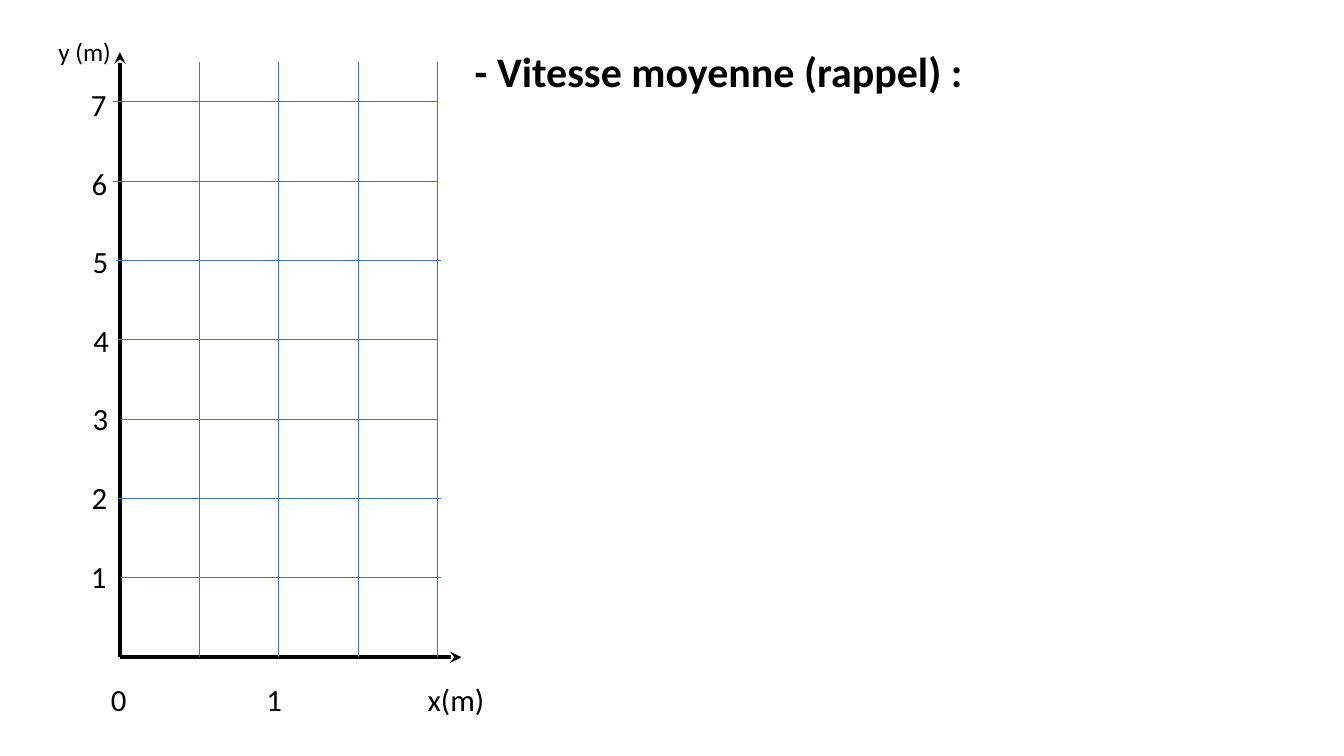
from dataclasses import dataclass
from lxml.etree import SubElement
from pptx import Presentation
from pptx.dml.color import RGBColor
from pptx.enum.shapes import MSO_CONNECTOR
from pptx.enum.text import MSO_ANCHOR, MSO_AUTO_SIZE, PP_ALIGN
from pptx.oxml.ns import qn
from pptx.util import Inches, Pt


@dataclass(frozen=True)
class Theme:
    font: str = "Calibri"
    ink: RGBColor = RGBColor(0, 0, 0)
    grid: RGBColor = RGBColor(0x44, 0x72, 0xC4)
    small: int = 18
    label: int = 22
    title: int = 30
    thin: float = 0.5
    thick: float = 2.75


class Graph:
    unit = Inches(6.3 / 8)
    left = Inches(1.19)
    base = Inches(6.52)

    def __init__(self, slide, theme):
        self.slide = slide
        self.theme = theme

    def span(self, size):
        return round(size * self.unit)

    def point(self, col, row):
        return self.left + self.span(col), self.base - self.span(row)

    def line(self, start, end, color, width, arrow=False):
        line = self.slide.shapes.add_connector(
            MSO_CONNECTOR.STRAIGHT, *self.point(*start), *self.point(*end))
        line.line.color.rgb = color
        line.line.width = Pt(width)
        if arrow:
            stroke = line._element.spPr.find(qn("a:ln"))
            SubElement(stroke, qn("a:tailEnd"), type="stealth")
        SubElement(line._element.spPr, qn("a:effectLst"))

    def axis(self, end):
        self.line((0, 0), end, self.theme.ink, self.theme.thick, True)

    def rule(self, start, end):
        self.line(start, end, self.theme.grid, self.theme.thin)

    def fill(self, shape, text, size, bold=False):
        frame = shape.text_frame
        frame.word_wrap = True
        frame.auto_size = MSO_AUTO_SIZE.SHAPE_TO_FIT_TEXT
        frame.vertical_anchor = MSO_ANCHOR.TOP
        para = frame.paragraphs[0]
        para.line_spacing = 1.0
        run = para.add_run()
        run.text = text
        run.font.name = self.theme.font
        run.font.size = Pt(size)
        run.font.bold = bold
        run.font.color.rgb = self.theme.ink
        return para

    def label(self, text, col, row, width, height, size, stops=()):
        box = self.slide.shapes.add_textbox(
            *self.point(col, row), self.span(width), self.span(height))
        para = self.fill(box, text, size)
        if stops:
            tabs = SubElement(para._p.get_or_add_pPr(), qn("a:tabLst"))
            for stop in stops:
                SubElement(tabs, qn("a:tab"), pos=str(self.span(stop)), algn="l")

    def title(self, text, col, row, width, height):
        shape = self.slide.shapes.title
        shape.left, shape.top = self.point(col, row)
        shape.width, shape.height = self.span(width), self.span(height)
        para = self.fill(shape, text, self.theme.title, True)
        para.alignment = PP_ALIGN.JUSTIFY


def main():
    deck = Presentation()
    deck.slide_width, deck.slide_height = Inches(13.33), Inches(7.5)
    theme = Theme()
    graph = Graph(deck.slides.add_slide(deck.slide_layouts[5]), theme)

    graph.title("- Vitesse moyenne (rappel) : ", 4.34, 7.77, 10.7, 0.77)
    graph.axis((4.3, 0))
    graph.axis((0, 7.62))
    for col in range(1, 5):
        graph.rule((col, 0), (col, 7.5))

    ends = [(0.01, 4.04), (-0.03, 4.04), (0.01, 4), (-0.03, 4),
            (-0.05, 4.04), (-0.09, 4), (-0.09, 4)]
    for row, (start, end) in enumerate(ends, 1):
        graph.rule((start, row), (end, row))
        graph.label(str(row), -0.46 - 0.01 * abs(row - 4), 0.33 + 0.99 * row,
                    1.12, 0.6, theme.label)

    graph.label("y (m)", -0.9, 7.89, 1.35, 0.51, theme.small)
    graph.label("0\t1\tx(m)", -0.24, -0.23, 5.08, 0.62, theme.label, (1.96, 3.99))
    deck.save("out.pptx")


if __name__ == "__main__":
    main()
